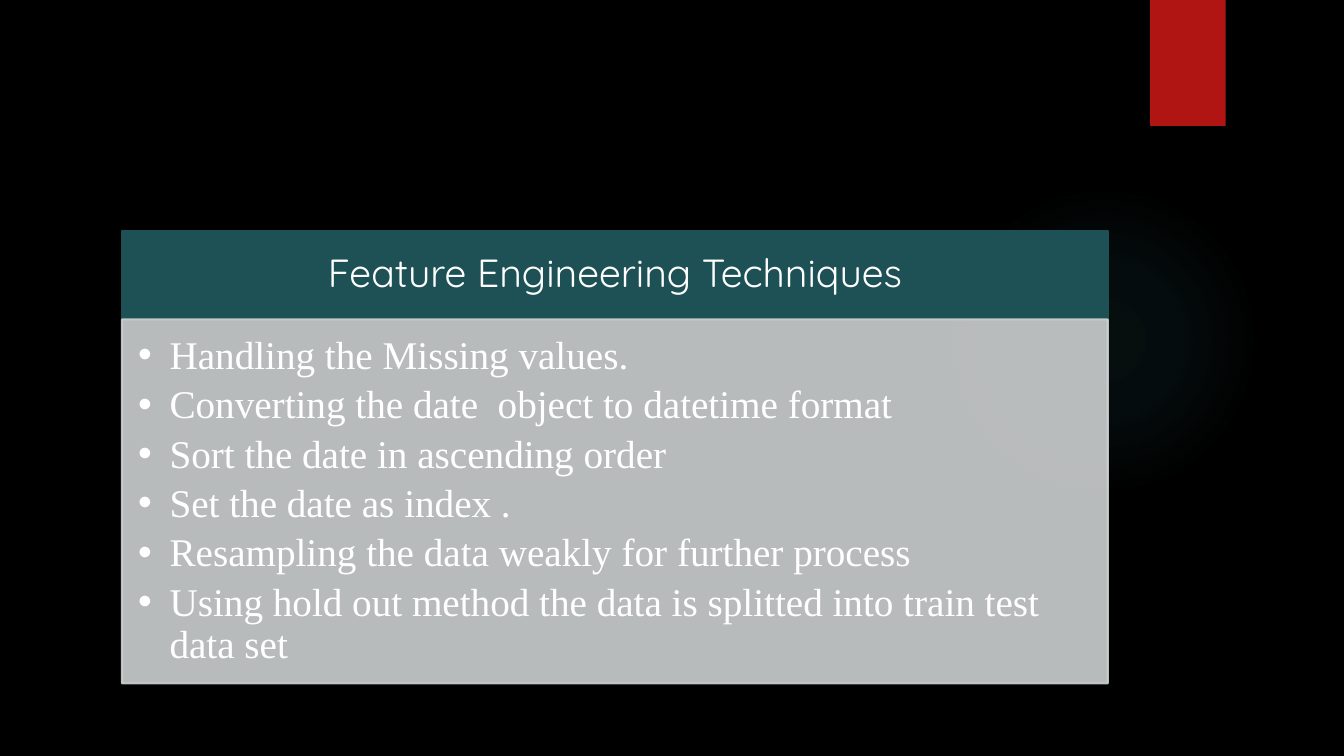
"""Build the feature engineering slide."""
from pptx import Presentation
from pptx import oxml
from pptx.dml import color as dml
from pptx.enum import shapes, text
from pptx.oxml import ns
from pptx.util import Pt

WHITE, TEAL, GREY, RED, GLOW = "FFFFFF", "1E5155", "CDD0D1", "B01513", "50B9C1"
PANEL_LEFT, PANEL_WIDTH = 87.1, 704.2
HEADER_TOP, HEADER_HEIGHT, BODY_HEIGHT = 164.9, 63.3, 260
TECHNIQUES = [
    "Handling the Missing values.",
    "Converting the date  object to datetime format",
    "Sort the date in ascending order",
    "Set the date as index .",
    "Resampling the data weakly for further process",
    "Using hold out method the data is splitted into train test data set",
]


def paint(target, value):
    """Give a colour format the hex colour."""
    target.rgb = dml.RGBColor.from_string(value)


def add_plain(page, kind, left, top, width, height):
    """Add a preset shape without shadow or outline."""
    box = page.shapes.add_shape(kind, Pt(left), Pt(top), Pt(width), Pt(height))
    box.shadow.inherit = False
    box.line.fill.background()
    return box


def add_block(page, left, top, width, height, fill):
    """Add a solid rectangle."""
    box = add_plain(page, shapes.MSO_SHAPE.RECTANGLE, left, top, width, height)
    box.fill.solid()
    paint(box.fill.fore_color, fill)
    return box


def add_glow(page, left, top, size, stops):
    """Add a circle that fades outwards through (position, opacity) stops."""
    disc = add_plain(page, shapes.MSO_SHAPE.OVAL, left, top, size, size)
    marks = "".join(
        f'<a:gs pos="{position * 1000}"><a:srgbClr val="{GLOW}">'
        f'<a:alpha val="{opacity * 1000}"/></a:srgbClr></a:gs>'
        for position, opacity in stops)
    gradient = oxml.parse_xml(
        f'<a:gradFill {ns.nsdecls("a")}><a:gsLst>{marks}</a:gsLst>'
        '<a:path path="circle"><a:fillToRect l="50000" t="50000" r="50000" b="50000"/>'
        '</a:path></a:gradFill>')
    disc._element.spPr.find(ns.qn("a:prstGeom")).addnext(gradient)


def add_panel(page, top, height, fill, insets, anchor):
    """Add a bordered panel that is ready for text."""
    box = add_block(page, PANEL_LEFT, top, PANEL_WIDTH, height, fill)
    paint(box.line.color, fill)
    box.line.width = Pt(1.5)
    frame = box.text_frame
    frame.word_wrap = True
    frame.vertical_anchor = anchor
    (frame.margin_left, frame.margin_top,
     frame.margin_right, frame.margin_bottom) = map(Pt, insets)
    return box


def set_opacity(box, percent):
    """Make the fill and the line of a shape translucent."""
    for shade in box._element.spPr.iter(ns.qn("a:srgbClr")):
        oxml.parse_xml(f'<a:alpha {ns.nsdecls("a")} val="{percent * 1000}"/>')
        shade.append(oxml.parse_xml(
            f'<a:alpha {ns.nsdecls("a")} val="{percent * 1000}"/>'))


def style_para(para, font, align, after):
    """Set the spacing, alignment and font of a paragraph."""
    para.alignment = align
    para.line_spacing = 0.9
    para.space_after = Pt(after)
    for span in para.runs:
        span.font.name = font
        span.font.size = Pt(28)
        paint(span.font.color, WHITE)


def add_bullet(para, indent):
    """Give a paragraph a hanging bullet."""
    properties = para._p.get_or_add_pPr()
    properties.set("marL", str(Pt(indent)))
    properties.set("indent", str(-Pt(indent)))
    for markup in ('buFont {} typeface="Arial"', 'buChar {} char="•"'):
        properties.append(oxml.parse_xml(f'<a:{markup.format(ns.nsdecls("a"))}/>'))


def main():
    """Build and save the slide."""
    deck = Presentation()
    deck.slide_width, deck.slide_height = Pt(960), Pt(540)
    page = deck.slides.add_slide(deck.slide_layouts[6])
    page.background.fill.solid()
    paint(page.background.fill.fore_color, "000000")

    add_glow(page, 677.5, 131.8, 221.8, [(0, 7), (36, 6), (69, 0)])
    add_block(page, 821.5, 0, 54, 90, RED)

    header = add_panel(page, HEADER_TOP, HEADER_HEIGHT, TEAL,
                       (15.8, 8.6, 15.8, 8.6), text.MSO_ANCHOR.MIDDLE)
    header.text_frame.text = "Feature Engineering Techniques"
    style_para(header.text_frame.paragraphs[0], "Quicksand", text.PP_ALIGN.CENTER, 10)

    body = add_panel(page, HEADER_TOP + HEADER_HEIGHT, BODY_HEIGHT, GREY,
                     (11.5, 11.5, 15.8, 17.3), text.MSO_ANCHOR.TOP)
    set_opacity(body, 90)
    body.text_frame.text = "\n".join(TECHNIQUES)
    for para in body.text_frame.paragraphs:
        style_para(para, "Times New Roman", text.PP_ALIGN.LEFT, 5)
        add_bullet(para, 22.5)

    deck.save("out.pptx")


if __name__ == "__main__":
    main()
